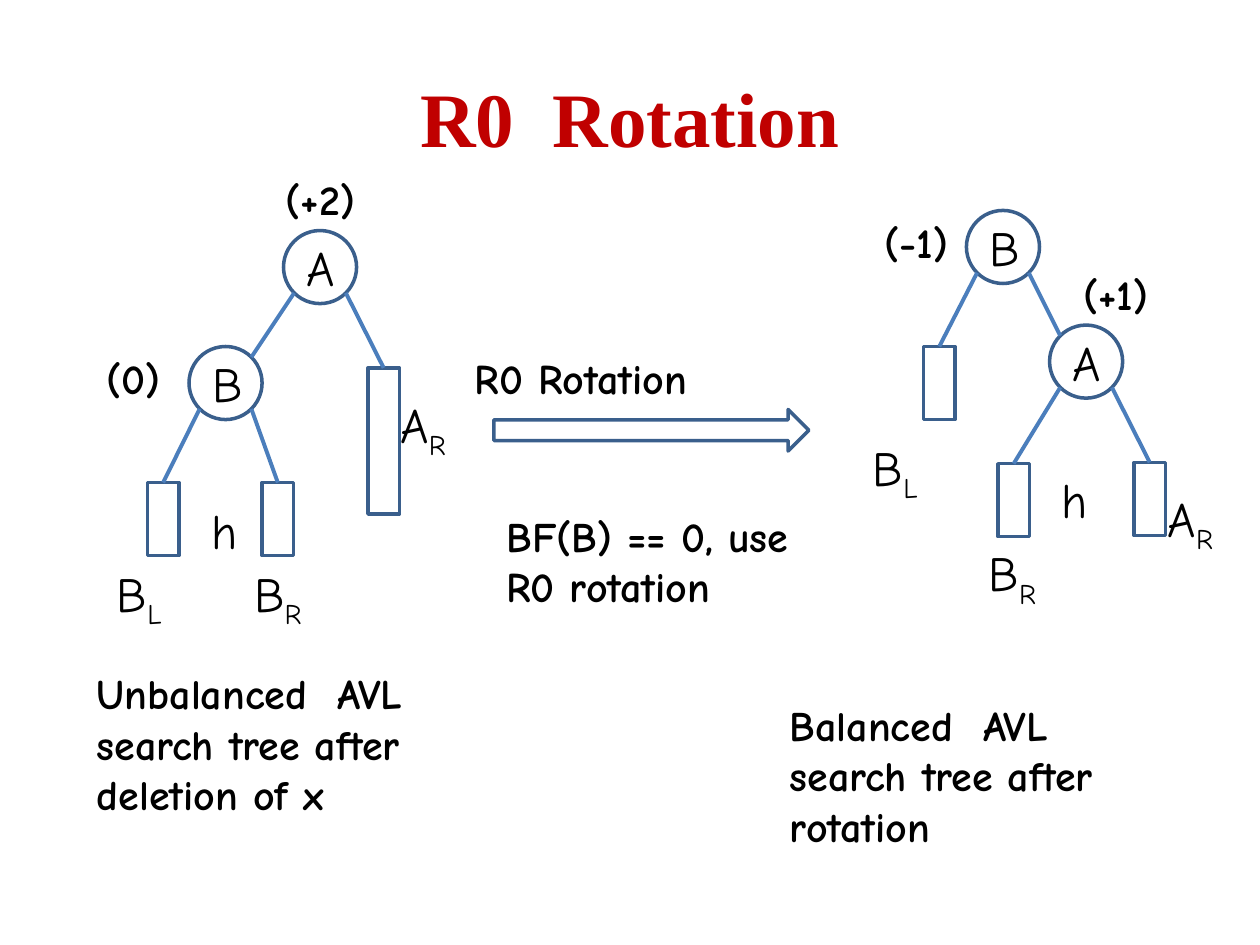
from math import sqrt

from lxml.etree import SubElement
from pptx import Presentation
from pptx.dml.color import RGBColor
from pptx.enum.shapes import MSO_CONNECTOR, MSO_SHAPE
from pptx.enum.text import MSO_ANCHOR, MSO_AUTO_SIZE, PP_ALIGN
from pptx.oxml.ns import qn
from pptx.util import Inches, Pt

RED = RGBColor(0xC0, 0x00, 0x00)
BLACK = RGBColor(0x00, 0x00, 0x00)
OUTLINE = RGBColor(0x3A, 0x5F, 0x8C)
EDGE = RGBColor(0x4B, 0x7E, 0xBC)
BODY_FONT = "Comic Neue"
NODE_SIZE = 0.58
SUBTREE_WIDTH = 0.25
LABEL_WIDTH = 0.83


def style_font(paragraph, size, bold=False, color=BLACK, name=BODY_FONT):
    paragraph.font.size = Pt(size)
    paragraph.font.bold = bold
    paragraph.font.color.rgb = color
    paragraph.font.name = name


def add_outline(shapes, preset, left, top, width, height):
    outline = shapes.add_shape(preset, Inches(left), Inches(top), Inches(width), Inches(height))
    outline.shadow.inherit = False
    outline.fill.background()
    outline.line.color.rgb = OUTLINE
    outline.line.width = Pt(2)
    return outline


def add_text(shapes, text, left, top, width, height, size=24, bold=True, subscript=""):
    label = shapes.add_textbox(Inches(left), Inches(top), Inches(width), Inches(height))
    frame = label.text_frame
    frame.word_wrap = True
    frame.auto_size = MSO_AUTO_SIZE.SHAPE_TO_FIT_TEXT
    paragraph = frame.paragraphs[0]
    paragraph.add_run().text = text
    if subscript:
        lowered = paragraph.add_run()
        lowered.text = subscript
        lowered._r.get_or_add_rPr().set("baseline", "-25000")
    style_font(paragraph, size, bold)


def add_name(shapes, text, left, top, subscript="", width=LABEL_WIDTH):
    add_text(shapes, text, left, top, width, 0.57, 28, False, subscript)


def add_node(shapes, name, left, top):
    node = add_outline(shapes, MSO_SHAPE.OVAL, left, top, NODE_SIZE, NODE_SIZE)
    frame = node.text_frame
    frame.vertical_anchor = MSO_ANCHOR.MIDDLE
    frame.word_wrap = True
    paragraph = frame.paragraphs[0]
    paragraph.text = name
    paragraph.alignment = PP_ALIGN.CENTER
    style_font(paragraph, 28)
    return node


def add_subtree(shapes, left, top, height=NODE_SIZE):
    return add_outline(shapes, MSO_SHAPE.RECTANGLE, left, top, SUBTREE_WIDTH, height)


def rim_point(node, side, vertical):
    reach = node.width / 2 / sqrt(2)
    return (int(node.left + node.width / 2 + side * reach),
            int(node.top + node.height / 2 + vertical * reach))


def add_edge(shapes, start, end):
    edge = shapes.add_connector(MSO_CONNECTOR.STRAIGHT, *start, *end)
    edge.line.color.rgb = EDGE
    edge.line.width = Pt(2.25)
    SubElement(edge._element.spPr, qn("a:effectLst"))
    return edge


def link_node(shapes, parent, child, side):
    add_edge(shapes, rim_point(parent, side, 1), rim_point(child, -side, -1))


def link_subtree(shapes, parent, subtree, side):
    top_middle = (subtree.left + subtree.width // 2, subtree.top)
    edge = add_edge(shapes, rim_point(parent, side, 1), top_middle)
    edge.end_connect(subtree, 0)


def build_title(slide, left, top, width, height):
    title = slide.shapes.title
    title.left, title.top = Inches(left), Inches(top)
    title.width, title.height = Inches(width), Inches(height)
    title.text_frame.vertical_anchor = MSO_ANCHOR.MIDDLE
    paragraph = title.text_frame.paragraphs[0]
    paragraph.text = "R0  Rotation"
    paragraph.alignment = PP_ALIGN.CENTER
    style_font(paragraph, 44, True, RED, "Times New Roman")


def build_unbalanced_tree(slide, left, top):
    shapes = slide.shapes.add_group_shape().shapes
    node_a = add_node(shapes, "A", left + 1.58, top + 0.5)
    node_b = add_node(shapes, "B", left + 0.83, top + 1.42)
    a_right = add_subtree(shapes, left + 2.25, top + 1.59, 2 * NODE_SIZE)
    b_right = add_subtree(shapes, left + 1.41, top + 2.5)
    b_left = add_subtree(shapes, left + 0.5, top + 2.5)
    link_node(shapes, node_a, node_b, -1)
    link_subtree(shapes, node_b, b_left, -1)
    link_subtree(shapes, node_b, b_right, 1)
    link_subtree(shapes, node_a, a_right, 1)
    add_name(shapes, "A", left + 2.41, top + 1.75, "R")
    add_name(shapes, "h", left + 0.91, top + 2.59, width=0.33)
    add_name(shapes, "B", left + 0.16, top + 3.09, "L")
    add_name(shapes, "B", left + 1.25, top + 3.09, "R")
    add_text(shapes, "(0)", left + 0.08, top + 1.42, 0.92, 0.5)
    add_text(shapes, "(+2)", left + 1.5, top, 1.25, 0.5)
    add_text(shapes, "Unbalanced  AVL search tree after deletion of x",
             left, top + 3.92, 3.17, 1.31)


def build_balanced_tree(slide, left, top):
    shapes = slide.shapes.add_group_shape().shapes
    node_b = add_node(shapes, "B", left + 0.84, top)
    node_a = add_node(shapes, "A", left + 1.5, top + 0.91)
    b_left = add_subtree(shapes, left + 0.5, top + 1.08)
    b_right = add_subtree(shapes, left + 1.09, top + 2.01)
    a_right = add_subtree(shapes, left + 2.17, top + 2)
    link_node(shapes, node_b, node_a, 1)
    link_subtree(shapes, node_b, b_left, -1)
    link_subtree(shapes, node_a, b_right, -1)
    link_subtree(shapes, node_a, a_right, 1)
    add_name(shapes, "A", left + 2.34, top + 2.16, "R")
    add_name(shapes, "h", left + 1.5, top + 2.01, width=0.33)
    add_name(shapes, "B", left + 0.92, top + 2.59, "R")
    add_name(shapes, "B", left, top + 1.75, "L")
    add_text(shapes, "(+1)", left + 1.67, top + 0.41, 1.08, 0.5)
    add_text(shapes, "(-1)", left + 0.09, top, 0.92, 0.5)
    add_text(slide.shapes, "Balanced  AVL search tree after rotation",
             left - 0.66, top + 3.83, 3.17, 1.31)


def build_rotation_step(slide, left, top):
    add_outline(slide.shapes, MSO_SHAPE.RIGHT_ARROW, left + 0.25, top + 0.5, 2.5, 0.33)
    add_text(slide.shapes, "R0 Rotation", left, top, 2.17, 0.5)
    add_text(slide.shapes, "BF(B) == 0, use R0 rotation", left + 0.25, top + 1.25, 2.92, 0.91)


def main():
    presentation = Presentation()
    presentation.slide_width = Inches(10)
    presentation.slide_height = Inches(7.5)
    slide = presentation.slides.add_slide(presentation.slide_layouts[5])
    build_title(slide, 0.5, 0.3, 9, 1.25)
    build_rotation_step(slide, 3.67, 2.75)
    build_unbalanced_tree(slide, 0.67, 1.33)
    build_balanced_tree(slide, 6.83, 1.67)
    presentation.save("out.pptx")


if __name__ == "__main__":
    main()
